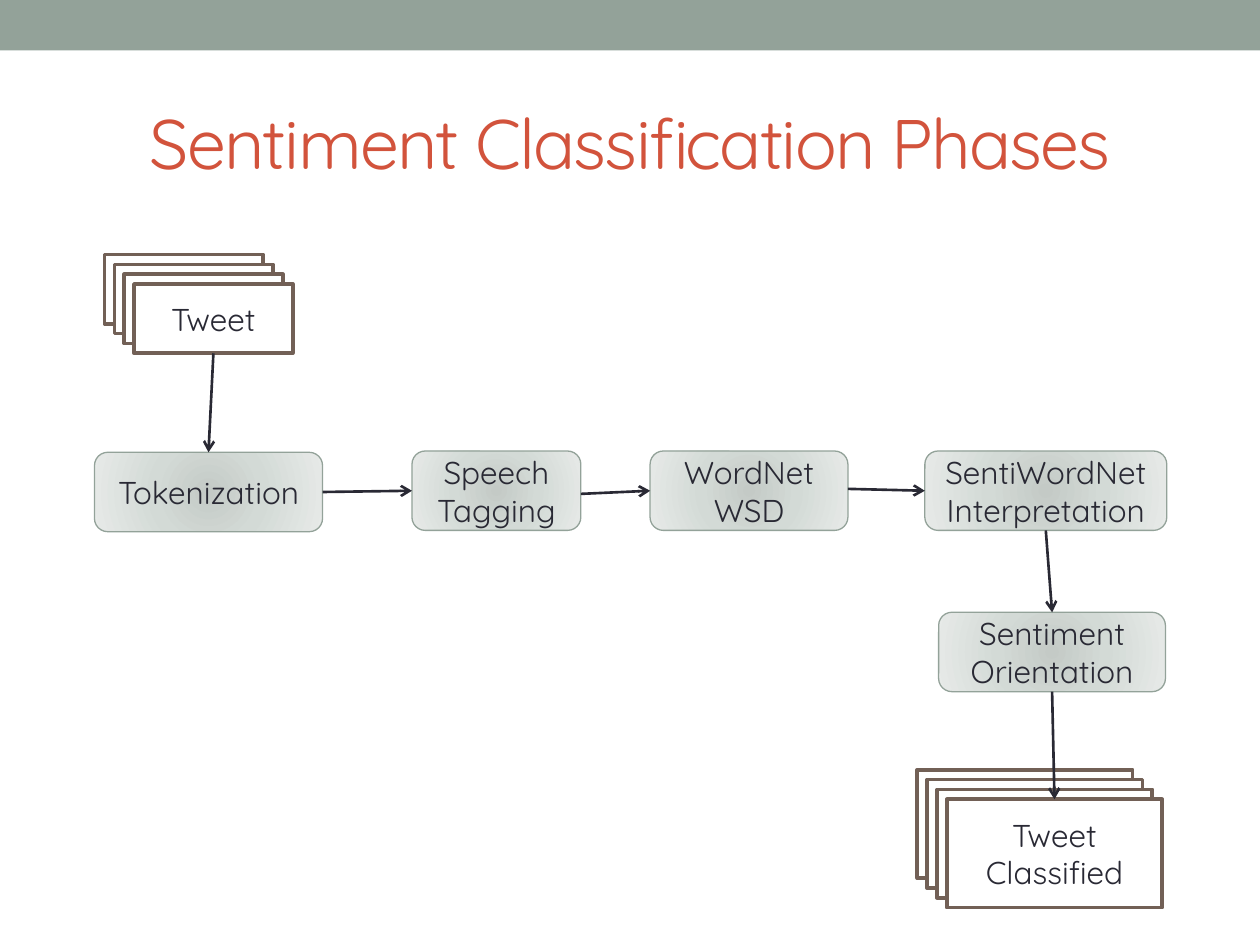
"""Build the slide that shows the phases of sentiment classification."""
from lxml import etree
from pptx import Presentation
from pptx.dml.color import RGBColor
from pptx.enum.shapes import MSO_CONNECTOR, MSO_SHAPE
from pptx.enum.text import MSO_ANCHOR, PP_ALIGN
from pptx.oxml import parse_xml
from pptx.oxml.ns import nsdecls, qn
from pptx.util import Inches, Pt

RECTANGLE = MSO_SHAPE.RECTANGLE
ROUNDED = MSO_SHAPE.ROUNDED_RECTANGLE
STRAIGHT = MSO_CONNECTOR.STRAIGHT
MIDDLE = MSO_ANCHOR.MIDDLE
CENTER = PP_ALIGN.CENTER
TOP, LEFT, BOTTOM, RIGHT = range(4)

THEME = {
    "font": "Quicksand",
    "title_size": 40, "body_size": 18,
    "title": "D2533C", "ink": "292934", "sage": "93A299",
    "paper": "FFFFFF", "brown": "726056",
    "glow": [(0, "C4CAC6"), (45, "D3DAD6"), (100, "E7EAE8")],
    "phase_line": 0.75, "card_line": 2.08, "arrow_line": 1.5,
}

presentation = Presentation()
presentation.slide_width, presentation.slide_height = Inches(10), Inches(7.5)
COLUMN = presentation.slide_width / 100
ROW = presentation.slide_height / 75
slide = presentation.slides.add_slide(presentation.slide_layouts[5])


def write_text(shape, text, size=THEME["body_size"], color=THEME["ink"], spacing=0):
    frame = shape.text_frame
    frame.text = text
    frame.word_wrap = True
    frame.vertical_anchor = MIDDLE
    for paragraph in frame.paragraphs:
        paragraph.alignment = CENTER
        for run in paragraph.runs:
            run.font.name = THEME["font"]
            run.font.size = Pt(size)
            run.font.color.rgb = RGBColor.from_string(color)
            run.font._element.set("spc", str(spacing))


def add_box(kind, column, row, columns, rows, fill, line=None, weight=0):
    shape = slide.shapes.add_shape(
        kind, round(column * COLUMN), round(row * ROW),
        round(columns * COLUMN), round(rows * ROW))
    shape.shadow.inherit = False
    shape.fill.solid()
    shape.fill.fore_color.rgb = RGBColor.from_string(fill)
    if line:
        shape.line.color.rgb = RGBColor.from_string(line)
        shape.line.width = Pt(weight)
    else:
        shape.line.fill.background()
    return shape


add_box(RECTANGLE, 0, 0, 100, 4, THEME["sage"])

title = slide.shapes.title
title.left, title.top = round(5 * COLUMN), round(5.8 * ROW)
title.width, title.height = round(90 * COLUMN), round(10.8 * ROW)
write_text(title, "Sentiment Classification Phases",
           size=THEME["title_size"], color=THEME["title"], spacing=-100)

boxes = {}

stops = "".join(
    f'<a:gs pos="{position * 1000}"><a:srgbClr val="{color}"/></a:gs>'
    for position, color in THEME["glow"])
glow_xml = (
    f'<a:gradFill {nsdecls("a")} rotWithShape="1"><a:gsLst>{stops}</a:gsLst>'
    '<a:path path="circle"><a:fillToRect l="100000" t="100000" r="100000" b="100000"/>'
    '</a:path></a:gradFill>')
phases = [
    ("Tokenization", 7.5, 35.9, 18.1),
    ("Speech Tagging", 32.7, 35.8, 13.4),
    ("WordNet\nWSD", 51.6, 35.8, 15.7),
    ("SentiWordNet Interpretation", 73.4, 35.8, 19.2),
    ("Sentiment Orientation", 74.5, 48.6, 18),
]
for text, column, row, columns in phases:
    phase = add_box(ROUNDED, column, row, columns, 6.3, THEME["sage"],
                    THEME["sage"], THEME["phase_line"])
    properties = phase.element.spPr
    properties.replace(properties.find(qn("a:solidFill")), parse_xml(glow_xml))
    write_text(phase, text)
    boxes[text] = phase

card_stacks = [
    ("Tweet", 8.3, 20.2, 12.6, 5.5),
    ("Tweet\nClassified", 72.8, 61.1, 17.1, 8.6),
]
for text, column, row, columns, rows in card_stacks:
    for layer in range(4):
        offset = 0.78 * layer
        card = add_box(RECTANGLE, column + offset, row + offset, columns, rows,
                       THEME["paper"], THEME["brown"], THEME["card_line"])
    write_text(card, text)
    boxes[text] = card

flows = [
    ("Tweet", BOTTOM, "Tokenization", TOP, None),
    ("Tokenization", RIGHT, "Speech Tagging", LEFT, None),
    ("Speech Tagging", RIGHT, "WordNet\nWSD", LEFT, (46.1, 39.2)),
    ("WordNet\nWSD", RIGHT, "SentiWordNet Interpretation", LEFT, (67.3, 38.8)),
    ("SentiWordNet Interpretation", BOTTOM, "Sentiment Orientation", TOP, None),
    ("Sentiment Orientation", BOTTOM, "Tweet\nClassified", TOP, None),
]
for source, source_side, target, target_side, start in flows:
    column, row = start or (0, 0)
    arrow = slide.shapes.add_connector(
        STRAIGHT, round(column * COLUMN), round(row * ROW), 0, 0)
    if not start:
        arrow.begin_connect(boxes[source], source_side)
    arrow.end_connect(boxes[target], target_side)
    arrow.line.color.rgb = RGBColor.from_string(THEME["ink"])
    arrow.line.width = Pt(THEME["arrow_line"])
    etree.SubElement(arrow.line._get_or_add_ln(), qn("a:tailEnd"), type="arrow")
    etree.SubElement(arrow.element.spPr, qn("a:effectLst"))

presentation.save("out.pptx")
